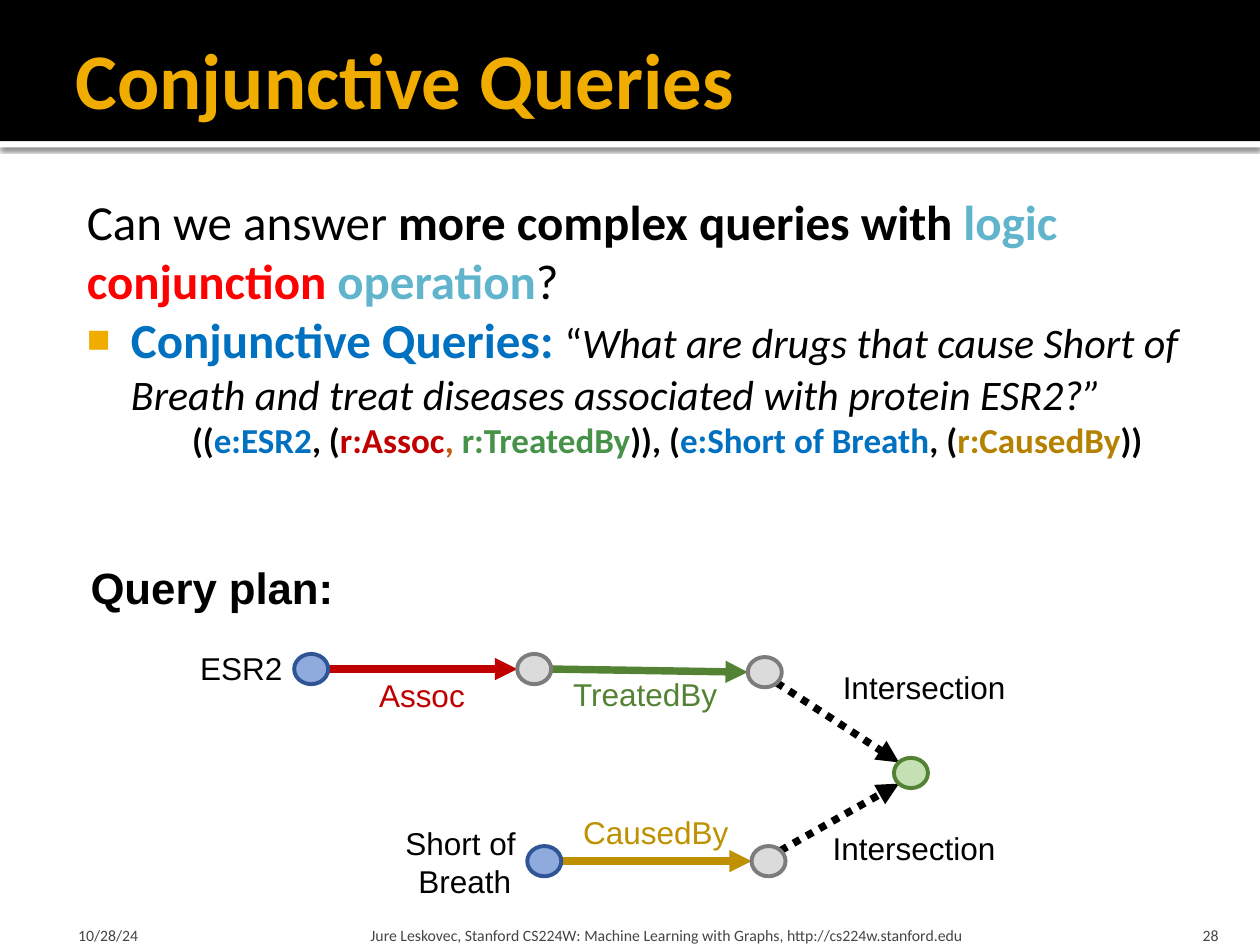
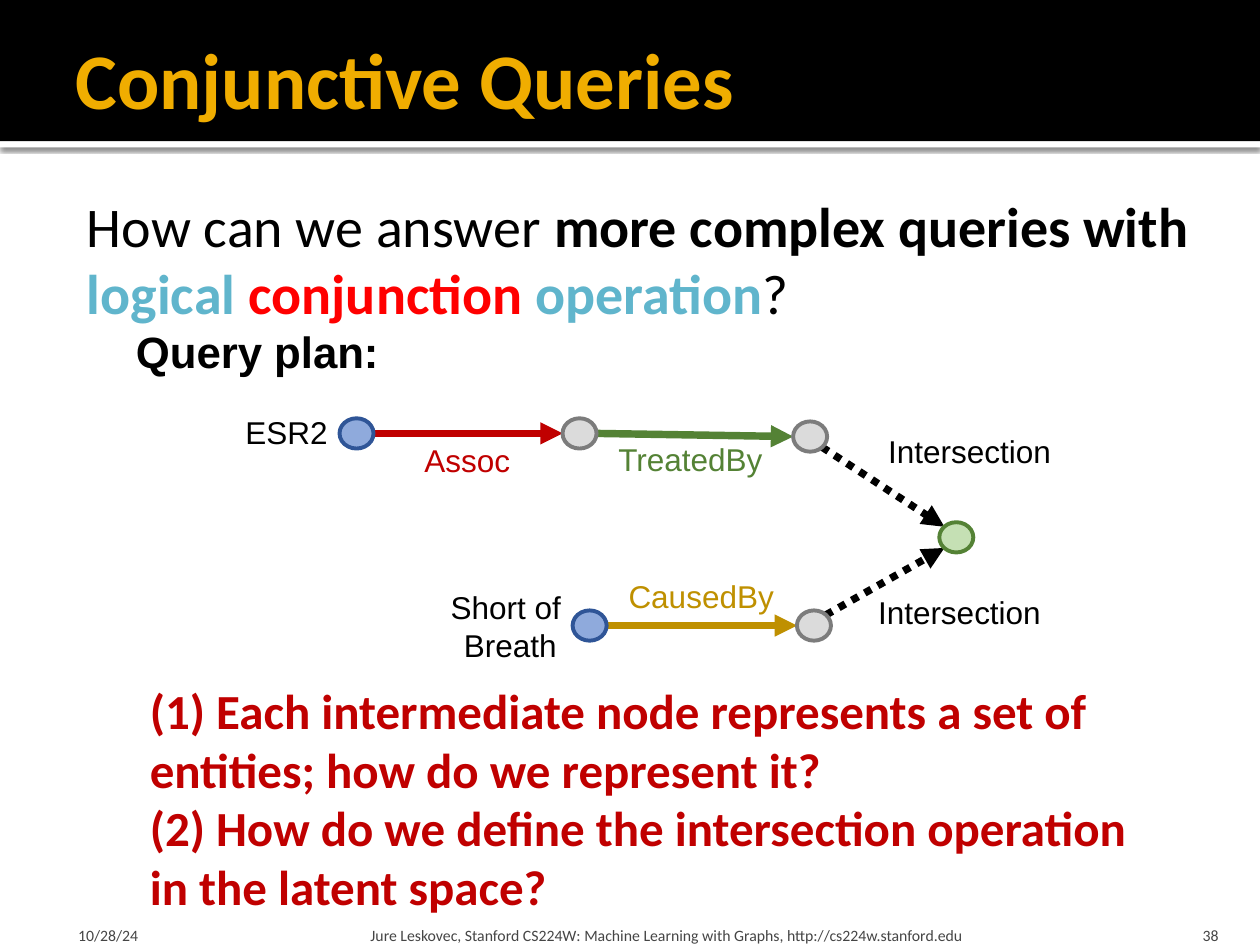
"""Build two slides on conjunctive queries and their query plan."""
import lxml.etree
import pptx
import pptx.dml.color
import pptx.enum.dml
import pptx.enum.shapes
import pptx.enum.text
import pptx.oxml.ns
import pptx.util

COLS, ROWS = 100, 75
CELL = pptx.util.Inches(0.1)
HUES = {
    "black": "000000", "white": "FFFFFF", "gold": "F0AD00", "aqua": "60B5CC",
    "red": "FF0000", "blue": "0070C0", "crimson": "C00000", "orange": "C55A11",
    "green": "479249", "mustard": "B48200", "gray": "454545",
    "leaf": "548235", "ochre": "BF9000",
    "sky": "8FAADC", "navy": "2F5597", "silver": "DBDBDB", "steel": "7C7C7C",
    "mint": "C5E0B4",
}
ALIGN = pptx.enum.text.PP_ALIGN
ANCHOR = pptx.enum.text.MSO_ANCHOR
SHAPE = pptx.enum.shapes.MSO_SHAPE
NODE_W, NODE_H = 2.7, 2.4
PADS = (1, 0.5, 1, 0.5)


def cells(*counts):
    """Turn counts of grid cells into slide lengths."""
    return [round(count * CELL) for count in counts]


def hue(name):
    """Look up a colour by name."""
    return pptx.dml.color.RGBColor.from_string(HUES[name])


def add_tag(parent, tag, **attrs):
    """Append a drawing element and return it."""
    return lxml.etree.SubElement(parent, pptx.oxml.ns.qn("a:" + tag), attrs)


def write(para, runs, font="Calibri", align=ALIGN.LEFT):
    """Write (text, size, colour, style) runs into a paragraph."""
    para.alignment = align
    for text, size, shade, style in runs:
        run = para.add_run()
        run.text = text
        run.font.name = font
        run.font.size = pptx.util.Pt(size)
        run.font.color.rgb = hue(shade)
        run.font.bold = "b" in style
        run.font.italic = "i" in style


def set_frame(frame, pads=PADS, anchor=ANCHOR.TOP, wrap=True):
    """Set the insets, anchor and wrapping of a text frame."""
    (frame.margin_left, frame.margin_top,
     frame.margin_right, frame.margin_bottom) = cells(*pads)
    frame.auto_size = pptx.enum.text.MSO_AUTO_SIZE.NONE
    frame.vertical_anchor = anchor
    frame.word_wrap = wrap


def add_box(slide, place, lines, font="Calibri", align=ALIGN.LEFT, **frame_opts):
    """Add a text box with one paragraph per list of runs."""
    frame = slide.shapes.add_textbox(*cells(*place)).text_frame
    set_frame(frame, **frame_opts)
    for index, runs in enumerate(lines):
        para = frame.add_paragraph() if index else frame.paragraphs[0]
        write(para, runs, font, align)
    return frame


def indent(para, left, first=0):
    """Set the left margin and first-line indent of a paragraph."""
    props = para._p.get_or_add_pPr()
    for key, count in (("marL", left), ("indent", first)):
        props.set(key, str(cells(count)[0]))
    return props


def add_mark(props):
    """Give a paragraph a gold square bullet."""
    add_tag(add_tag(props, "buClr"), "srgbClr", val=HUES["gold"])
    add_tag(props, "buSzPct", val="80000")
    add_tag(props, "buFont", typeface="Arial")
    add_tag(props, "buChar", char="■")


def add_shape(slide, kind, place, fill, edge=None):
    """Add a flat preset shape."""
    shape = slide.shapes.add_shape(kind, *cells(*place))
    shape.shadow.inherit = False
    shape.fill.solid()
    shape.fill.fore_color.rgb = hue(fill)
    if edge:
        shape.line.color.rgb = hue(edge)
        shape.line.width = pptx.util.Pt(2.25)
    else:
        shape.line.fill.background()
    return shape


def add_bands(slide):
    """Draw the black title band and the shaded white strip below."""
    strip = add_shape(slide, SHAPE.RECTANGLE, (0, 11.2, COLS, 0.5), "white")
    effects = strip.element.spPr.find(pptx.oxml.ns.qn("a:effectLst"))
    shade = add_tag(effects, "outerShdw", blurRad=str(pptx.util.Pt(2.5)),
                    dist=str(pptx.util.Pt(0.8)), dir="5400000", rotWithShape="0")
    add_tag(add_tag(shade, "srgbClr", val=HUES["black"]), "alpha", val="60000")
    add_shape(slide, SHAPE.RECTANGLE, (0, 0, COLS, 11.2), "black")


def add_title(slide, text):
    """Place and format the title above the bands."""
    title = slide.shapes.title
    title.left, title.top, title.width, title.height = cells(5, 0.8, 90, 10.8)
    set_frame(title.text_frame, (1, 0.5, 0.5, 0.5), ANCHOR.MIDDLE)
    write(title.text_frame.paragraphs[0], [(text, 45, "gold", "b")])
    slide.shapes.element.append(title.element)


def add_foot(slide, number):
    """Add the date, course line and slide number."""
    course = ("Jure Leskovec, Stanford CS224W: Machine Learning with Graphs, "
              "http://cs224w.stanford.edu")
    parts = (
        (5, 23.3, 1.2, 0.5, "10/28/24", ALIGN.LEFT),
        (28.9, 60.2, 0.5, 0.5, course, ALIGN.LEFT),
        (89.7, 8, 1, 1, str(number), ALIGN.RIGHT),
    )
    for left, width, before, after, text, align in parts:
        add_box(slide, (left, ROWS - 3, width, 3), [[(text, 9, "gray", "")]],
                align=align, pads=(before, 0.5, after, 0), anchor=ANCHOR.BOTTOM)


def start_slide(deck, number):
    """Add a slide with the shared title, bands and footer."""
    slide = deck.slides.add_slide(deck.slide_layouts[5])
    add_bands(slide)
    add_title(slide, "Conjunctive Queries")
    add_foot(slide, number)
    return slide


def add_body(slide, lines):
    """Add the main text, with a bullet on its second paragraph."""
    frame = add_box(slide, (5, 14.2, 95, 31.8), lines, pads=(0.6, 1, 1, 0.5))
    for index, para in enumerate(frame.paragraphs):
        if index == 1:
            add_mark(indent(para, 4.8, -3.5))
        else:
            indent(para, 1.3)
    if len(lines) > 2:
        frame.paragraphs[2].alignment = ALIGN.CENTER


def ask(opening, logic, size):
    """Return the runs of the leading question."""
    return [(opening, size, "black", ""),
            ("more complex queries with ", size, "black", "b"),
            (logic, size, "aqua", "b"), ("conjunction", size, "red", "b"),
            (" operation", size, "aqua", "b"), ("?", size, "black", "")]


def add_arrow(slide, start, end, shade, dotted=False):
    """Draw a thick arrow between two grid points."""
    line = slide.shapes.add_connector(
        pptx.enum.shapes.MSO_CONNECTOR.STRAIGHT, *cells(*start, *end))
    line.line.color.rgb = hue(shade)
    line.line.width = pptx.util.Pt(4.25)
    if dotted:
        line.line.dash_style = pptx.enum.dml.MSO_LINE.ROUND_DOT
    add_tag(line.line._get_or_add_ln(), "tailEnd", type="triangle")
    add_tag(line.element.spPr, "effectLst")


def add_plan(slide, left, top):
    """Draw the query plan with its heading at the given corner."""
    looks = {"known": ("sky", "navy"), "found": ("silver", "steel"),
             "goal": ("mint", "leaf")}
    nodes = {
        "gene": (18.5, 9.1, "known"), "illness": (36.2, 9.1, "found"),
        "treated": (54.5, 9.35, "found"), "breath": (37, 24.35, "known"),
        "caused": (54.8, 24.35, "found"), "answer": (66.1, 17.35, "goal"),
    }
    links = (
        ("gene", "illness", "crimson", 0), ("illness", "treated", "leaf", 0),
        ("breath", "caused", "ochre", 0), ("treated", "answer", "black", 1),
        ("caused", "answer", "black", -1),
    )
    labels = (
        (8.7, 7, 8.6, "black", ["ESR2"]),
        (24.9, 20.9, 11.6, "black", ["Short of ", "Breath"]),
        (22.9, 9.2, 8.9, "crimson", ["Assoc"]),
        (38.3, 9.1, 13.6, "leaf", ["TreatedBy"]),
        (39.1, 20, 13.7, "ochre", ["CausedBy"]),
        (59.7, 8.5, 15.1, "black", ["Intersection"]),
        (58.9, 21.3, 15.1, "black", ["Intersection"]),
    )
    add_box(slide, (left, top, 21.5, 5.2),
            [[("Query plan:", 25, "black", "b")]], "Arial", wrap=False)
    for source, target, shade, slope in links:
        reach = 0.7 if slope else 1
        out, down = NODE_W / 2 * reach, NODE_H / 2 * reach * slope
        (x1, y1, _), (x2, y2, _) = nodes[source], nodes[target]
        add_arrow(slide, (left + x1 + out, top + y1 + down),
                  (left + x2 - out, top + y2 - down), shade, bool(slope))
    for x, y, look in nodes.values():
        place = left + x - NODE_W / 2, top + y - NODE_H / 2, NODE_W, NODE_H
        add_shape(slide, SHAPE.OVAL, place, *looks[look])
    for x, y, width, shade, words in labels:
        place = left + x, top + y, width, 0.9 + 3.1 * len(words)
        add_box(slide, place, [[(word, 18, shade, "")] for word in words], "Arial",
                ALIGN.CENTER if len(words) > 1 else ALIGN.LEFT, wrap=False)


def main():
    """Build and save the deck."""
    deck = pptx.Presentation()
    deck.slide_width, deck.slide_height = cells(COLS, ROWS)

    slide = start_slide(deck, 28)
    terms = (("((", "black"), ("e:ESR2", "blue"), (", (", "black"),
             ("r:Assoc", "crimson"), (", ", "orange"), ("r:TreatedBy", "green"),
             (")), (", "black"), ("e:Short of Breath", "blue"), (", (", "black"),
             ("r:CausedBy", "mustard"), ("))", "black"))
    query = [("Conjunctive Queries: ", 28, "blue", "b"), ("“", 24, "black", ""),
             ("What are drugs that cause Short of Breath and treat diseases "
              "associated with protein ESR2?”", 24, "black", "i")]
    add_body(slide, [ask("Can we answer ", "logic ", 28), query,
                     [(text, 20, shade, "b") for text, shade in terms]])
    add_plan(slide, 6.2, 44)

    slide = start_slide(deck, 38)
    add_body(slide, [ask("How can we answer ", "logical ", 32)])
    add_plan(slide, 9.8, 25.3)
    points = ("(1) Each intermediate node represents a set of entities; "
              "how do we represent it?",
              "(2) How do we define the intersection operation "
              "in the latent space?")
    add_box(slide, (10.9, 53.5, 80.2, 19.9),
            [[(point, 28, "crimson", "b")] for point in points])
    deck.save("out.pptx")


if __name__ == "__main__":
    main()
